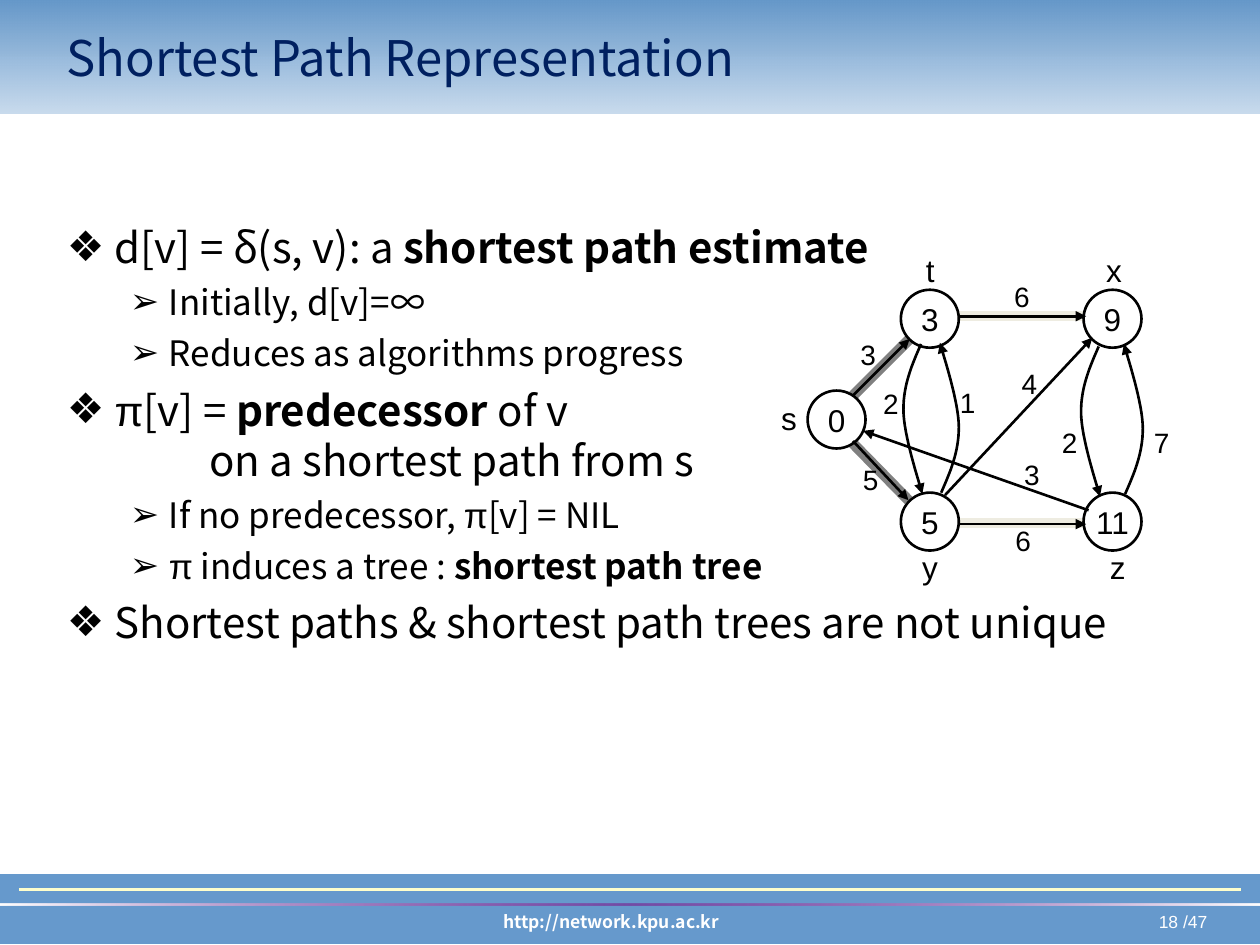
from lxml import etree
from pptx import Presentation
from pptx.dml.color import RGBColor
from pptx.enum.shapes import MSO_CONNECTOR, MSO_SHAPE
from pptx.enum.text import MSO_ANCHOR, PP_ALIGN
from pptx.oxml import parse_xml
from pptx.oxml.ns import nsdecls, qn
from pptx.util import Inches, Pt

LEFT, CENTER, RIGHT = PP_ALIGN.LEFT, PP_ALIGN.CENTER, PP_ALIGN.RIGHT
MIDDLE, TOP = MSO_ANCHOR.MIDDLE, MSO_ANCHOR.TOP
RECTANGLE, OVAL = MSO_SHAPE.RECTANGLE, MSO_SHAPE.OVAL
STRAIGHT = MSO_CONNECTOR.STRAIGHT
BLUE = RGBColor(0x66, 0x99, 0xCC)
NAVY = RGBColor(0x00, 0x20, 0x60)
YELLOW = RGBColor(0xFF, 0xFF, 0xCC)
GRAY = RGBColor(0x80, 0x80, 0x80)
BEIGE = RGBColor(0xEE, 0xEC, 0xE1)
BLACK = RGBColor(0x00, 0x00, 0x00)
WHITE = RGBColor(0xFF, 0xFF, 0xFF)
SANS, ARIAL = "Noto Sans CJK KR", "Arial"


def style_line(line_shape, color, width, arrow):
    line_shape.line.color.rgb = color
    line_shape.line.width = Pt(width)
    if arrow:
        etree.SubElement(line_shape.line._get_or_add_ln(), qn("a:tailEnd"), type="triangle")
    etree.SubElement(line_shape._element.spPr, qn("a:effectLst"))


def add_label(text, x, y, w, h, size, align=LEFT, font=ARIAL, color=BLACK, bold=False):
    box = s.shapes.add_textbox(Inches(x), Inches(y), Inches(w), Inches(h))
    box.text_frame.word_wrap = w > 1
    p = box.text_frame.paragraphs[0]
    p.text = text
    p.alignment = align
    f = p.runs[0].font
    f.name, f.size, f.bold, f.color.rgb = font, Pt(size), bold, color


prs = Presentation()
prs.slide_width, prs.slide_height = Inches(10), Inches(7.5)
s = prs.slides.add_slide(prs.slide_layouts[1])
title, body = s.shapes.title, s.placeholders[1]

# (top, height, gradient angle, stops as position, colour, opacity)
BARS = [
    (6.94, 0.55, 0, []),
    (0, 0.9, 270, [(0, BLUE, 35), (100, RGBColor(0x64, 0x97, 0xC9), 100)]),
    (7.17, 0.02, 0, [(0, WHITE, 100), (50, RGBColor(0x80, 0x00, 0x80), 50), (100, WHITE, 100)]),
]
for top, height, angle, stops in BARS:
    bar = s.shapes.add_shape(RECTANGLE, 0, Inches(top), Inches(10), Inches(height))
    bar.shadow.inherit = False
    if not stops:
        bar.fill.solid()
        bar.fill.fore_color.rgb = BLUE
        bar.line.color.rgb = BLUE
        bar.line.width = Pt(0.75)
        continue
    bar.line.fill.background()
    stop_xml = "".join(
        f'<a:gs pos="{pos * 1000}"><a:srgbClr val="{color}"><a:alpha val="{alpha * 1000}"/></a:srgbClr></a:gs>'
        for pos, color, alpha in stops)
    bar._element.spPr.find(qn("a:prstGeom")).addnext(parse_xml(
        f'<a:gradFill {nsdecls("a")} rotWithShape="1"><a:gsLst>{stop_xml}</a:gsLst>'
        f'<a:lin ang="{angle * 60000}" scaled="0"/></a:gradFill>'))

rule = s.shapes.add_connector(STRAIGHT, Inches(0.15), Inches(7.06), Inches(9.85), Inches(7.06))
style_line(rule, YELLOW, 1.5, False)
add_label("18 /47", 7.42, 7.18, 2.26, 0.27, 10, RIGHT, color=WHITE)
add_label("http://network.kpu.ac.kr", 2.27, 7.18, 5.16, 0.27, 10, CENTER, SANS, WHITE, True)

for holder in (title, body):
    s.shapes._spTree.append(holder._element)
title.left, title.top, title.width, title.height = Inches(0.43), Inches(0.08), Inches(8.51), Inches(0.75)
title.text_frame.text = "Shortest Path Representation"
title.text_frame.vertical_anchor = MIDDLE
p = title.text_frame.paragraphs[0]
p.alignment = LEFT
f = p.runs[0].font
f.name, f.size, f.color.rgb = SANS, Pt(28), NAVY

# style: level, margin, indent, space before, size, bullet
HEAD = (0, 0.38, -0.38, 6, 24, "❖")
SUB = (1, 0.81, -0.31, 5, 20, "➢")
MORE = (0, 1.13, 0, 0, 24, None)
POINTS = [
    (HEAD, [("d[v] = δ(s, v): a ", SANS, False), ("shortest path estimate", SANS, True)]),
    (SUB, [("Initially, d[v]=∞", SANS, False)]),
    (SUB, [("Reduces as algorithms progress", SANS, False)]),
    (HEAD, [("π", ARIAL, False), ("[v] = ", SANS, False), ("predecessor", SANS, True), (" of v", SANS, False)]),
    (MORE, [("on a shortest path from s", SANS, False)]),
    (SUB, [("If no predecessor, ", SANS, False), ("π", ARIAL, False), ("[v] = NIL", SANS, False)]),
    (SUB, [("π", ARIAL, False), (" induces a tree : ", SANS, False), ("shortest path tree", SANS, True)]),
    (HEAD, [("Shortest paths & shortest path trees are not unique", SANS, False)]),
]
body.left, body.top, body.width, body.height = Inches(0.43), Inches(1.71), Inches(9.15), Inches(5.07)
tf = body.text_frame
tf.vertical_anchor = TOP
for i, ((level, margin, indent, before, size, bullet), runs) in enumerate(POINTS):
    p = tf.add_paragraph() if i else tf.paragraphs[0]
    p.level = level
    pPr = p._p.get_or_add_pPr()
    pPr.set("marL", str(Inches(margin)))
    pPr.set("indent", str(Inches(indent)))
    if bullet:
        color = etree.SubElement(pPr, qn("a:buClr"))
        etree.SubElement(color, qn("a:srgbClr"), val=str(BLACK))
        etree.SubElement(pPr, qn("a:buChar"), char=bullet)
    else:
        etree.SubElement(pPr, qn("a:buNone"))
    p.space_before = Pt(before if i else 0)
    for text, font, bold in runs:
        r = p.add_run()
        r.text = text
        f = r.font
        f.name, f.size, f.bold, f.color.rgb = font, Pt(size), bold, BLACK

EDGES = [
    (6.77, 3.14, 7.22, 2.69, GRAY, 6), (6.77, 3.52, 7.21, 3.97, GRAY, 6),
    (7.61, 2.51, 8.61, 2.51, BEIGE, 6), (7.61, 4.15, 8.61, 4.15, BEIGE, 6),
    (7.61, 2.51, 8.62, 2.51, BLACK, 1.5), (6.77, 3.14, 7.22, 2.69, BLACK, 1.5),
    (6.77, 3.5, 7.21, 3.97, BLACK, 1.5), (7.62, 4.16, 8.62, 4.16, BLACK, 1.5),
    (7.5, 3.93, 8.67, 2.68, BLACK, 1.5), (8.64, 4.05, 6.85, 3.42, BLACK, 1.5),
]
for x1, y1, x2, y2, color, width in EDGES:
    edge = s.shapes.add_connector(STRAIGHT, Inches(x1), Inches(y1), Inches(x2), Inches(y2))
    style_line(edge, color, width, color == BLACK)

ARC_W, ARC_H, STEPS = 0.15, 1.19, 16
BEZIERS = [[(0.14, 0), (0.07, 0.16), (0, 0.32), (0, 0.52)],
           [(0, 0.52), (0, 0.72), (0.12, 1.08), (0.15, 1.19)]]
arc = [BEZIERS[0][0]]
for a, b, c, d in BEZIERS:
    for t in (n / STEPS for n in range(1, STEPS + 1)):
        arc.append(tuple((1 - t) ** 3 * a[k] + 3 * (1 - t) ** 2 * t * b[k]
                         + 3 * (1 - t) * t ** 2 * c[k] + t ** 3 * d[k] for k in (0, 1)))
for left, top, upward in [(7.17, 2.73, False), (8.58, 2.75, False), (8.92, 2.73, True), (7.46, 2.72, True)]:
    points = [(ARC_W - x, ARC_H - y) if upward else (x, y) for x, y in arc]
    points = [(Inches(left + x), Inches(top + y)) for x, y in points]
    builder = s.shapes.build_freeform(*points[0])
    builder.add_line_segments(points[1:], close=False)
    curve = builder.convert_to_shape()
    curve.fill.background()
    style_line(curve, BLACK, 1.5, True)

for text, x, y in [("0", 6.41, 3.1), ("3", 7.15, 2.3), ("9", 8.6, 2.3), ("5", 7.15, 3.91), ("11", 8.6, 3.91)]:
    node = s.shapes.add_shape(OVAL, Inches(x), Inches(y), Inches(0.46), Inches(0.46))
    node.shadow.inherit = False
    node.fill.background()
    node.line.color.rgb = BLACK
    node.line.width = Pt(1.5)
    tf = node.text_frame
    tf.text = text
    tf.word_wrap = False
    tf.vertical_anchor = MIDDLE
    p = tf.paragraphs[0]
    p.alignment = CENTER
    f = p.runs[0].font
    f.name, f.size, f.color.rgb = ARIAL, Pt(18), BLACK

for text, x, y in [("s", 6.1, 3.12), ("t", 7.25, 1.94), ("x", 8.68, 1.94), ("y", 7.22, 4.3), ("z", 8.71, 4.3)]:
    add_label(text, x, y, 0.27 if text == "t" else 0.32, 0.4, 18)
for text, x, y in [("3", 6.73, 2.63), ("6", 7.95, 2.17), ("5", 6.75, 3.62), ("7", 9.06, 3.33), ("6", 7.96, 4.11),
                   ("2", 8.33, 3.33), ("2", 6.91, 3.02), ("1", 7.52, 3.01), ("4", 8.01, 2.86), ("3", 8.03, 3.58)]:
    add_label(text, x, y, 0.32, 0.37, 16)

prs.save("out.pptx")
